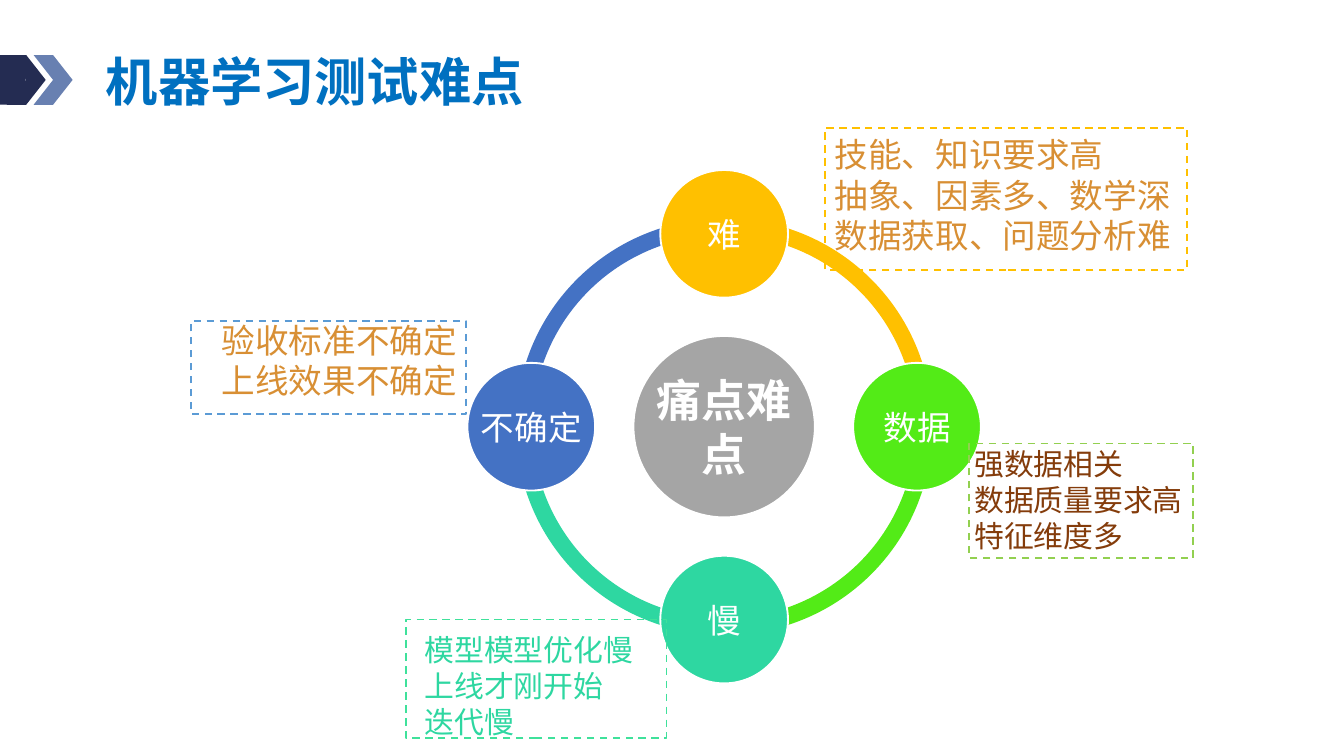
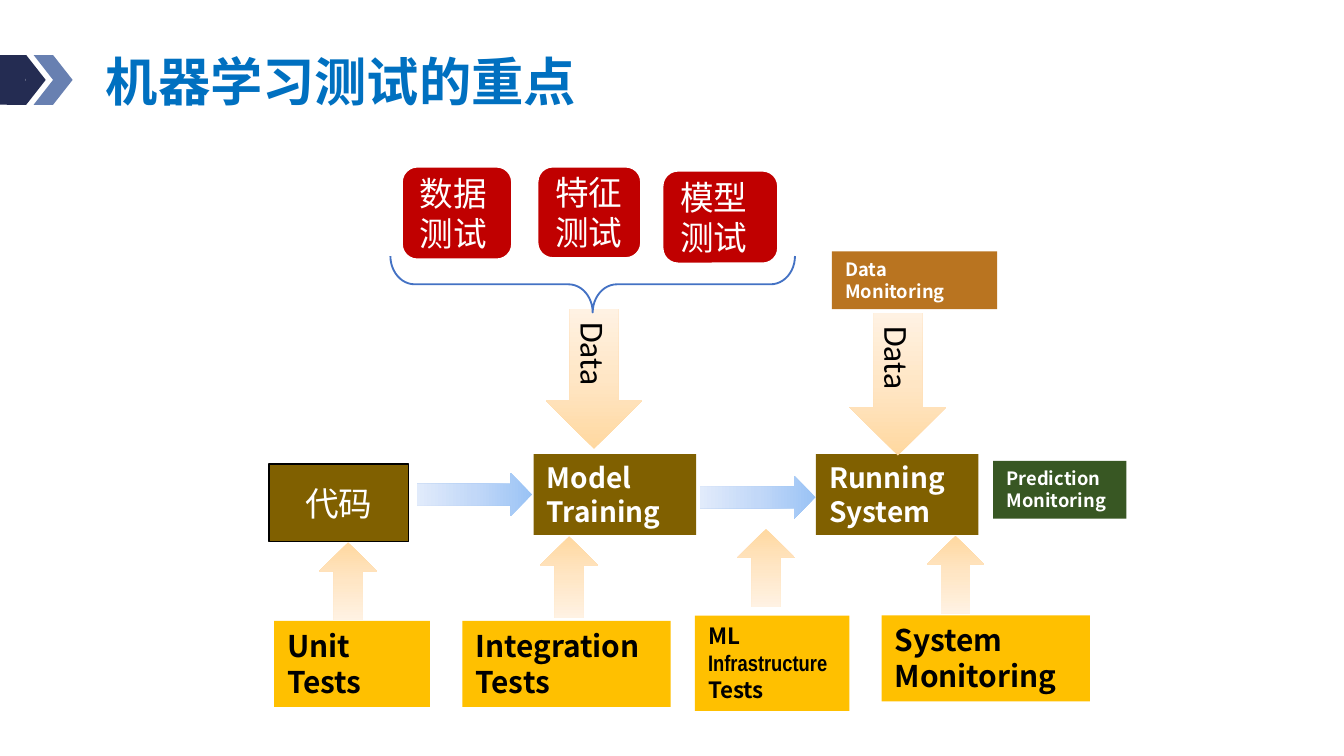
import copy
import math
import pptx
import pptx.util
import pptx.dml.color
import pptx.enum.dml
import pptx.enum.shapes
import pptx.enum.text
import pptx.oxml
import pptx.oxml.ns
from dataclasses import dataclass


@dataclass(frozen=True)
class Theme:
    navy: str = "242C52"
    steel: str = "6880B1"
    title: str = "0070C0"
    white: str = "FFFFFF"
    black: str = "000000"
    gold: str = "FFC000"
    lime: str = "53EB17"
    mint: str = "2ED7A1"
    blue: str = "4472C4"
    gray: str = "A5A5A5"
    amber: str = "D88F34"
    brown: str = "843C0B"
    olive: str = "806000"
    red: str = "C00000"
    rust: str = "B97420"
    moss: str = "385723"
    sky: tuple = ("9AC3F5", "C2D8F8", "E1EBFB")
    peach: tuple = ("FFD8A0", "FFE6C5", "FFF2E3")
    font: str = "Noto Sans CJK SC"
    plain: str = "Calibri"
    narrow: str = "Arial Narrow"
    head: float = 28
    hub: float = 24
    body: float = 18
    note: float = 16
    step: float = 15
    small: float = 12
    tiny: float = 9.8


T = Theme()
KIND = pptx.enum.shapes.MSO_SHAPE
ALIGN = pptx.enum.text.PP_ALIGN
ANCHOR = pptx.enum.text.MSO_ANCHOR
RGB = pptx.dml.color.RGBColor.from_string

# Grid of 100 columns by 56.25 rows
COLS, ROWS = 100, 56.25
deck = pptx.Presentation()
deck.slide_width = pptx.util.Inches(10)
deck.slide_height = int(deck.slide_width * ROWS / COLS)
CELL = deck.slide_width / COLS


def place(slide, kind, box, fill=None, line=None, dash=False, turn=0):
    """Put a shape, or a text box if kind is None, on the grid."""
    spot = [round(v * CELL) for v in box]
    if kind is None:
        return slide.shapes.add_textbox(*spot)
    shape = slide.shapes.add_shape(kind, *spot)
    shape.shadow.inherit = False
    shape.rotation = turn
    if isinstance(fill, tuple):
        shape.fill.gradient()
        stops = shape._element.spPr.find(".//" + pptx.oxml.ns.qn("a:gsLst"))
        stops.append(copy.deepcopy(stops[0]))
        for i, stop in enumerate(shape.fill.gradient_stops):
            stop.position = i / 2
            stop.color.rgb = RGB(fill[i])
        shape.fill.gradient_angle = 180
    elif fill:
        shape.fill.solid()
        shape.fill.fore_color.rgb = RGB(fill)
    else:
        shape.fill.background()
    if line:
        shape.line.color.rgb = RGB(line)
        shape.line.width = pptx.util.Pt(1)
        if dash:
            shape.line.dash_style = pptx.enum.dml.MSO_LINE.DASH
    else:
        shape.line.fill.background()
    return shape


def write(shape, text, size, color, bold=False, font=T.font, align=ALIGN.LEFT,
          anchor=ANCHOR.MIDDLE, pad=(1, 0.5, 1, 0.5)):
    """Set the text of a shape; pad is left, top, right, bottom."""
    frame = shape.text_frame
    frame.text = text
    frame.word_wrap = True
    frame.vertical_anchor = anchor
    (frame.margin_left, frame.margin_top,
     frame.margin_right, frame.margin_bottom) = [round(v * CELL) for v in pad]
    for para in frame.paragraphs:
        para.alignment = align
        for run in para.runs:
            run.font.size = pptx.util.Pt(size)
            run.font.bold = bold
            run.font.color.rgb = RGB(color)
            run.font.name = font
            east = pptx.oxml.parse_xml(
                '<a:ea %s typeface="%s"/>' % (pptx.oxml.ns.nsdecls("a"), T.font))
            run._r.get_or_add_rPr().append(east)
    return frame


# Shared band and title
pages = []
for title in ("机器学习测试难点", "机器学习测试的重点"):
    page = deck.slides.add_slide(deck.slide_layouts[6])
    place(page, KIND.RECTANGLE, (0, 4.1, 1.9, 3.7), T.navy)
    for left, color in ((2.5, T.steel), (0.5, T.navy)):
        place(page, KIND.CHEVRON, (left, 4.1, 2.9, 3.7), color)
    frame = write(place(page, None, (6.9, 4, 68, 4.6)), title, T.head, T.title, True)
    frame.paragraphs[0].line_spacing = 0.9
    pages.append(page)
pains, focus = pages

# Ring: four quarter arcs, clockwise from the top
MIDX, MIDY, REACH = 53.88, 31.75, 14.35
nodes = (("难", T.gold), ("数据", T.lime), ("慢", T.mint), ("不确定", T.blue))
RING, QUART = 31, 54
for i, (name, color) in enumerate(nodes):
    arc = place(pains, KIND.BLOCK_ARC,
                (MIDX - RING / 2, MIDY - RING / 2, RING, RING), color)
    start = (3 + i) % 4 * QUART
    arc.adjustments[0] = start
    arc.adjustments[1] = (start + QUART) % (4 * QUART)
    arc.adjustments[2] = 0.04

# Hub and nodes
discs = [("痛点难点", T.gray, 0, 0, 13.5, T.hub, True)]
for i, (name, color) in enumerate(nodes):
    angle = math.radians(90 * i - 90)
    discs.append((name, color, REACH * math.cos(angle), REACH * math.sin(angle),
                  9.5, T.body, False))
for name, color, dx, dy, wide, size, bold in discs:
    box = (MIDX + dx - wide / 2, MIDY + dy - wide / 2, wide, wide)
    place(pains, KIND.OVAL, box, color, T.white)
    write(place(pains, None, box), name, size, T.white, bold,
          align=ALIGN.CENTER, pad=(0.3,) * 4)

# Dashed notes: frame, line colour, text box, text, size, colour
notes = (
    ((61.4, 9.5, 26.9, 10.6), T.gold, (61.7, 9.8, 26.5, 10.2),
     "技能、知识要求高\n抽象、因素多、数学深\n数据获取、问题分析难", T.body, T.amber),
    ((72.1, 33, 16.7, 8.5), "92D050", (72.1, 33, 17.7, 10.4),
     "强数据相关\n数据质量要求高\n特征维度多", T.note, T.brown),
    ((30.2, 46.1, 19.4, 8.8), "3FE19B", (31.2, 46.8, 18.4, 8),
     "模型模型优化慢\n上线才刚开始\n迭代慢", T.note, T.mint),
    ((14.2, 23.9, 20.5, 6.9), "5B9BD5", (16.1, 23.6, 19.5, 9.1),
     "验收标准不确定\n上线效果不确定", T.body, T.amber),
)
for edge, line, box, text, size, color in notes:
    place(pains, KIND.RECTANGLE, edge, line=line, dash=True)
    write(place(pains, None, box), text, size, color,
          anchor=ANCHOR.TOP, pad=(0.4, 0.2, 0.4, 0.2))

# Process blocks
blocks = (
    ((39.7, 33.8, 12.1, 6), T.olive, "Model\nTraining", T.step, T.white),
    ((60.7, 33.8, 12.1, 6), T.olive, "Running\nSystem", T.step, T.white),
    ((20.4, 46.2, 11.6, 6.4), T.gold, "Unit Tests", T.note, T.black),
    ((51.7, 45.8, 11.5, 7.1), T.gold, "ML\nInfrastructure\nTests", T.small, T.black),
    ((34.4, 46.2, 15.5, 6.4), T.gold, "Integration Tests", T.note, T.black),
    ((61.9, 18.7, 12.3, 4.3), T.rust, "Data Monitoring", T.tiny, T.white),
    ((73.9, 34.3, 9.9, 4.3), T.moss, "Prediction Monitoring", T.tiny, T.white),
    ((65.6, 45.8, 15.5, 6.4), T.gold, "System Monitoring", T.note, T.black),
)
for box, fill, text, size, color in blocks:
    frame = write(place(focus, KIND.RECTANGLE, box, fill), text, size, color, True,
                  anchor=ANCHOR.TOP)
    for para in frame.paragraphs:
        if para.text == "Infrastructure":
            para.runs[0].font.name = T.narrow
code = place(focus, KIND.RECTANGLE, (20, 34.5, 10.4, 5.8), T.olive, T.black)
write(code, "代码", T.body, T.white, font=T.plain, align=ALIGN.CENTER)

# Test cards
for left, top, wide, high, text in ((29.9, 12.4, 8.2, 6.9, "数据测试"),
                                    (40, 12.4, 7.7, 6.8, "特征测试"),
                                    (49.3, 12.7, 8.6, 6.9, "模型测试")):
    card = place(focus, KIND.ROUNDED_RECTANGLE, (left, top, wide, high),
                 T.red, T.white)
    write(card, text, T.body, T.white, font=T.plain, pad=(1, 0.5, 0.5, 0.5))

# Arrows along the flow, then up from the tests
for left, top in ((31, 35.2), (52.1, 35.4)):
    place(focus, KIND.RIGHT_ARROW, (left, top, 8.6, 3.2), T.sky)
for left, top, long in ((23, 41.1, 5.8), (39.3, 40.8, 6.1),
                        (68.2, 40.6, 5.8), (54.1, 40.1, 5.8)):
    place(focus, KIND.RIGHT_ARROW, (left, top, long, 4.3), T.peach, turn=270)

# Data arrows pointing down
for left, top, long in ((61.5, 25, 10.6), (39, 24.6, 10.4)):
    arrow = place(focus, KIND.RIGHT_ARROW, (left, top, long, 7.2), T.peach, turn=90)
    write(arrow, "Data", T.body, T.black, font=T.plain)

# Brace under the cards
brace = place(focus, KIND.LEFT_BRACE, (42, 6.1, 4.2, 30.1), line=T.blue, turn=270)
brace.adjustments[0] = 0.43
brace.adjustments[1] = 0.5

deck.save("out.pptx")
